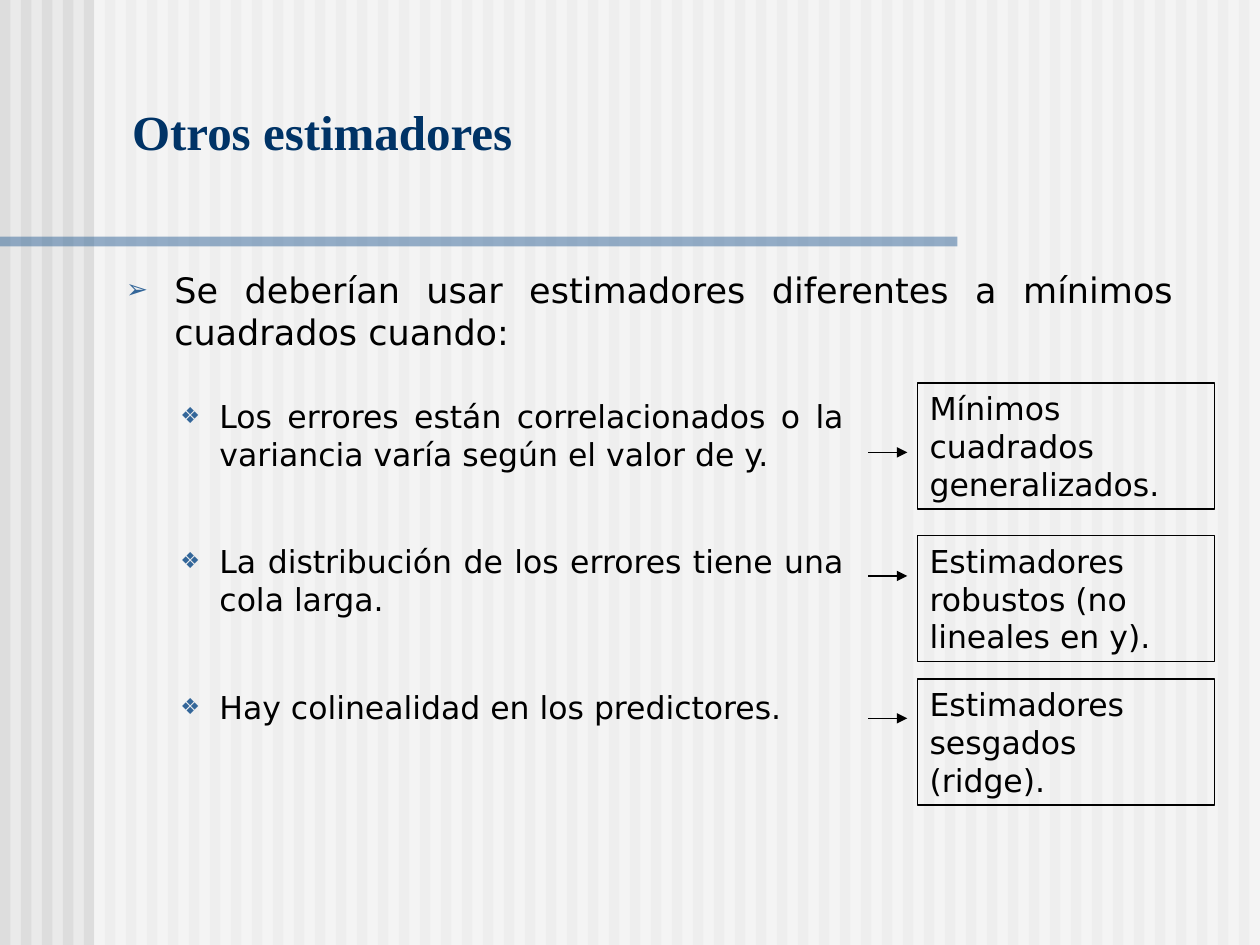
import pptx
import pptx.dml.color
import pptx.enum.shapes
import pptx.enum.text
import pptx.oxml
import pptx.oxml.ns
import pptx.util
from lxml import etree

Cm, Pt = pptx.util.Cm, pptx.util.Pt
ALIGN = pptx.enum.text.PP_ALIGN
ANCHOR = pptx.enum.text.MSO_ANCHOR

COLORS = {
    "background": "EAEAEA",
    "stripe": "DDDDDD",
    "veil": "FFFFFF",
    "accent": "336699",
    "title": "003366",
    "text": "000000",
}
WIDTH, HEIGHT = 25.4, 19.05
STRIPES = 60

# Answer text, top of its box and height of its arrow, in cm
ANSWERS = [
    (["Mínimos cuadrados generalizados."], 7.72, 9.12),
    (["Estimadores robustos (no lineales en y)."], 10.8, 11.61),
    (["Estimadores sesgados", "(ridge)."], 13.69, 14.48),
]
CASES = [
    "Los errores están correlacionados o la variancia varía según el valor de y.",
    "La distribución de los errores tiene una cola larga.",
    "Hay colinealidad en los predictores.",
]


def rgb(name):
    return pptx.dml.color.RGBColor.from_string(COLORS[name])


def add_child(parent, tag, **attrs):
    return etree.SubElement(parent, pptx.oxml.ns.qn(tag), attrs)


def add_bullet(p, char, size, left, hanging):
    pPr = p._p.get_or_add_pPr()
    pPr.set("marL", str(Cm(left)))
    pPr.set("indent", str(-Cm(hanging)))
    add_child(add_child(pPr, "a:buClr"), "a:srgbClr", val=COLORS["accent"])
    add_child(pPr, "a:buSzPct", val=str(size * 1000))
    add_child(pPr, "a:buFont", typeface="DejaVu Sans")
    add_child(pPr, "a:buChar", char=char)


def write_text(sp, lines, size=18, font="DejaVu Sans", color="text", bold=False,
               align=ALIGN.LEFT, anchor=ANCHOR.TOP, before=0, after=0,
               level=0, bullet=None):
    tf = sp.text_frame
    tf.word_wrap = True
    tf.auto_size = pptx.enum.text.MSO_AUTO_SIZE.NONE
    tf.vertical_anchor = anchor
    for i, line in enumerate(lines):
        p = tf.paragraphs[0] if i == 0 else tf.add_paragraph()
        p.alignment = align
        p.level = level
        p.space_before, p.space_after = Pt(before), Pt(after)
        if bullet:
            add_bullet(p, *bullet)
        r = p.add_run()
        r.text = line
        r.font.size, r.font.name, r.font.bold = Pt(size), font, bold
        r.font.color.rgb = rgb(color)


def place(slide, sp, left, top, width, height):
    sp.left, sp.top, sp.width, sp.height = Cm(left), Cm(top), Cm(width), Cm(height)
    slide.shapes._spTree.append(sp._element)  # in front of the backdrop
    return sp


def add_rect(slide, left, top, width, height, fill=None, alpha=None, line=None):
    sp = slide.shapes.add_shape(pptx.enum.shapes.MSO_SHAPE.RECTANGLE,
                                Cm(left), Cm(top), Cm(width), Cm(height))
    sp.shadow.inherit = False
    if fill:
        sp.fill.solid()
        sp.fill.fore_color.rgb = rgb(fill)
    else:
        sp.fill.background()
    if alpha:
        clr = sp._element.spPr.find(".//" + pptx.oxml.ns.qn("a:srgbClr"))
        add_child(clr, "a:alpha", val=str(alpha * 1000))
    if line:
        sp.line.color.rgb = rgb(line)
        sp.line.width = Pt(0.75)
    else:
        sp.line.fill.background()
    return sp


def add_arrow(slide, left, right, y):
    line = slide.shapes.add_connector(pptx.enum.shapes.MSO_CONNECTOR.STRAIGHT,
                                      Cm(left), Cm(y), Cm(right), Cm(y))
    line.line.color.rgb = rgb("text")
    line.line.width = Pt(0.75)
    add_child(line.line._get_or_add_ln(), "a:tailEnd", type="triangle")
    add_child(line._element.spPr, "a:effectLst")


def add_backdrop(slide):
    slide.background.fill.solid()
    slide.background.fill.fore_color.rgb = rgb("background")
    pitch = WIDTH / STRIPES
    for i in range(STRIPES):
        add_rect(slide, i * pitch, 0, pitch / 2, HEIGHT, fill="stripe")
    add_rect(slide, 1.9, 0, WIDTH - 1.9, HEIGHT, fill="veil", alpha=50)
    add_rect(slide, 0, 4.77, 19.3, 0.2, fill="accent", alpha=50)


def main():
    prs = pptx.Presentation()
    prs.slide_width, prs.slide_height = Cm(WIDTH), Cm(HEIGHT)
    slide = prs.slides.add_slide(prs.slide_layouts.get_by_name("Two Content"))
    title, intro, cases = slide.placeholders
    add_backdrop(slide)

    # Title, raised above the rule
    place(slide, title, 2.41, 1.88, 22.68, 2.62)
    title.text_frame.margin_bottom = Cm(1.26)
    write_text(title, ["Otros estimadores"], size=28, font="Times New Roman",
               color="title", bold=True, anchor=ANCHOR.BOTTOM)

    # Introduction
    place(slide, intro, 2.29, 5.28, 21.62, 2.24)
    write_text(intro, ["Se deberían usar estimadores diferentes a mínimos cuadrados cuando:"],
               size=20, align=ALIGN.JUSTIFY, before=5, after=5,
               bullet=("➢", 75, 0.97, 0.97))

    # Answers and their arrows
    for lines, top, arrow_y in ANSWERS:
        box = add_rect(slide, 18.49, top, 5.99, 2.54, line="text")
        write_text(box, lines)
        add_arrow(slide, 17.5, 18.29, arrow_y)

    # Cases
    place(slide, cases, 2.11, 7.87, 15.16, 8.23)
    write_text(cases, CASES, align=ALIGN.JUSTIFY, before=4.5, after=35.5,
               level=1, bullet=("❖", 70, 2.06, 0.79))

    prs.save("out.pptx")


if __name__ == "__main__":
    main()
